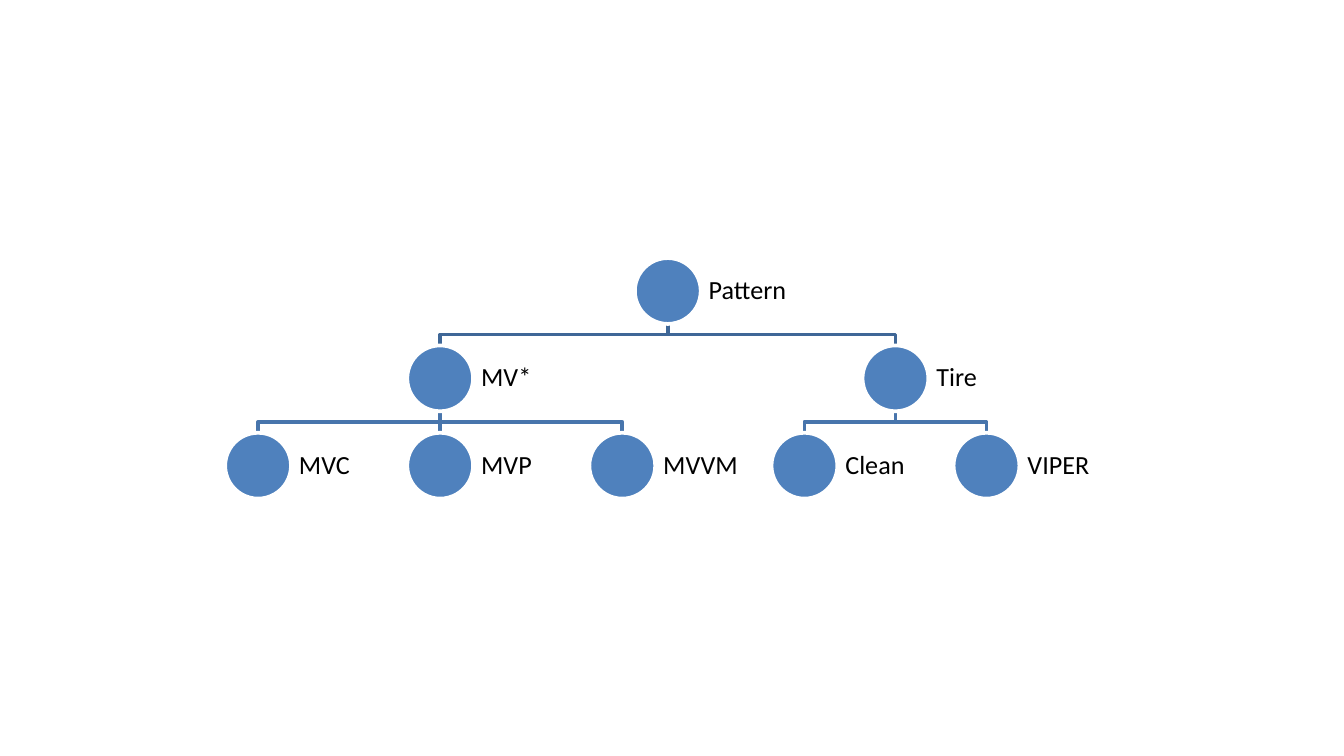
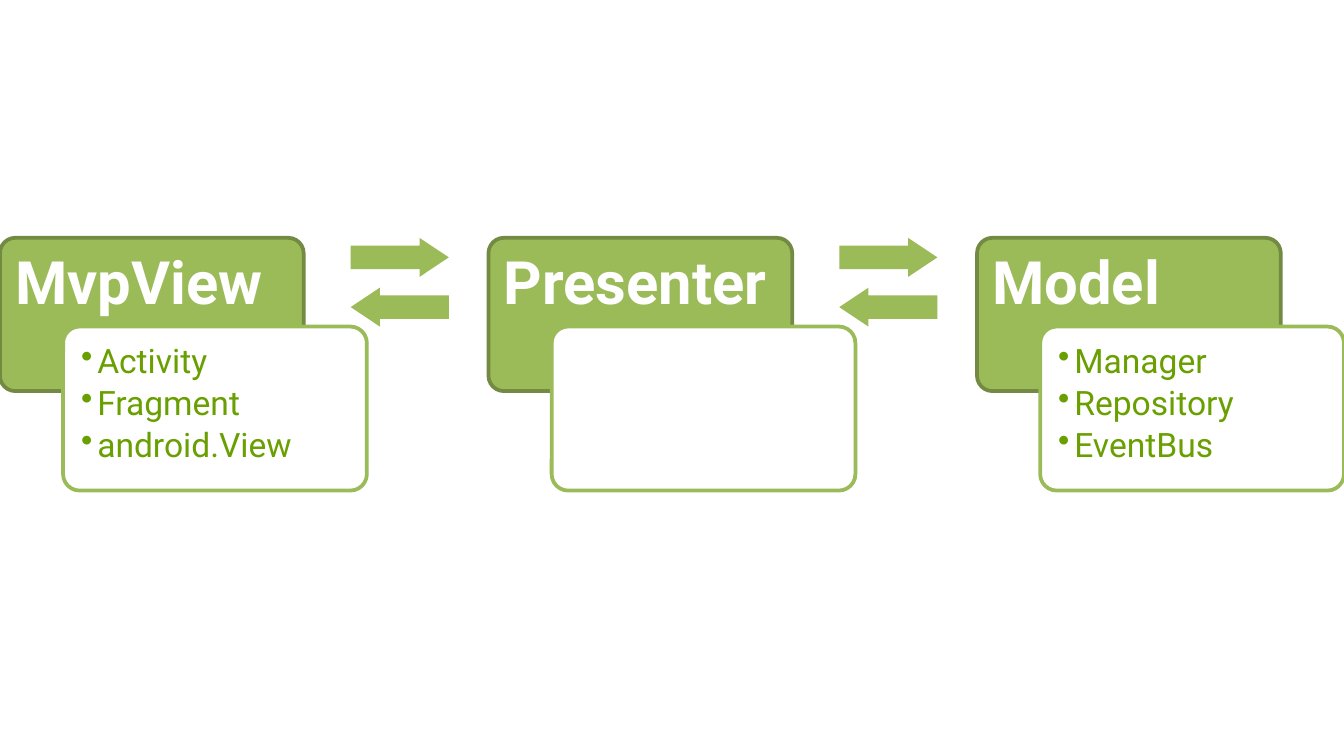
from dataclasses import dataclass, field

from lxml.etree import SubElement
from pptx import Presentation
from pptx.dml.color import RGBColor as RGB
from pptx.enum.shapes import MSO_CONNECTOR as Link, MSO_SHAPE as Form
from pptx.enum.text import MSO_ANCHOR as Anchor, PP_ALIGN as Align
from pptx.oxml.ns import qn
from pptx.util import Inches, Pt

COLUMNS, ROWS = 100, 56.25


@dataclass(frozen=True)
class Theme:
    node: str = "4F81BD"
    root_link: str = "3F6797"
    leaf_link: str = "4875AC"
    paper: str = "FFFFFF"
    ink: str = "000000"
    card: str = "9BBB59"
    card_edge: str = "738A42"
    item: str = "699F00"
    stroke: int = 2
    label_font: dict = field(default_factory=lambda: {"name": "Calibri", "size": Pt(14)})
    title_font: dict = field(default_factory=lambda: {"name": "Roboto", "size": Pt(32), "bold": True})
    item_font: dict = field(default_factory=lambda: {"name": "Roboto", "size": Pt(18)})


@dataclass
class Branch:
    label: str
    children: tuple = ()
    position: float = 0
    level: int = 0


class Deck:
    def __init__(self, theme):
        self.theme = theme
        self.show = Presentation()
        self.show.slide_width, self.show.slide_height = Inches(10), Inches(5.625)
        self.slide = None

    def new_slide(self):
        self.slide = self.show.slides.add_slide(self.show.slide_layouts[6])

    def cells(self, *pairs):
        unit_x, unit_y = self.show.slide_width / COLUMNS, self.show.slide_height / ROWS
        return [round(value * unit) for value, unit in zip(pairs, (unit_x, unit_y) * 2)]

    def stroke(self, outline, colour):
        outline.color.rgb = RGB.from_string(colour)
        outline.width = Pt(self.theme.stroke)

    def shape(self, form, area, fill, edge=None, adjust=()):
        body = self.slide.shapes.add_shape(form, *self.cells(*area))
        body.shadow.inherit = False
        body.fill.solid()
        body.fill.fore_color.rgb = RGB.from_string(fill)
        if edge:
            self.stroke(body.line, edge)
        else:
            body.line.fill.background()
        for index, value in enumerate(adjust):
            body.adjustments[index] = value
        return body

    def fill_text(self, frame, lines, font, colour, inset, anchor=Anchor.TOP, bullets=False):
        settings = {"word_wrap": True, "vertical_anchor": anchor}
        for side in ("left", "top", "right", "bottom"):
            settings[f"margin_{side}"] = self.cells(inset)[0]
        for key, value in settings.items():
            setattr(frame, key, value)
        for index, line in enumerate(lines):
            paragraph = frame.add_paragraph() if index else frame.paragraphs[0]
            spacing = {"alignment": Align.LEFT, "line_spacing": 0.9, "space_after": Pt(3)}
            for key, value in spacing.items():
                setattr(paragraph, key, value)
            run = paragraph.add_run()
            run.text = line
            for key, value in font.items():
                setattr(run.font, key, value)
            run.font.color.rgb = RGB.from_string(colour)
            if bullets:
                self.bullet(paragraph)

    def bullet(self, paragraph):
        properties = paragraph._p.get_or_add_pPr()
        indent = Inches(0.12)
        properties.set("marL", str(indent))
        properties.set("indent", str(-indent))
        SubElement(properties, qn("a:buChar")).set("char", "•")

    def label(self, text, area):
        frame = self.slide.shapes.add_textbox(*self.cells(*area)).text_frame
        self.fill_text(frame, [text], self.theme.label_font, self.theme.ink, 0.6, Anchor.MIDDLE)

    def link(self, start, end, colour):
        (left, top), (right, bottom) = self.cells(*start), self.cells(*end)
        if left == right:
            branch = self.slide.shapes.add_connector(Link.STRAIGHT, left, top, right, bottom)
            self.stroke(branch.line, colour)
            SubElement(branch._element.spPr, qn("a:effectLst"))
        else:
            middle = (top + bottom) // 2
            builder = self.slide.shapes.build_freeform(left, top)
            builder.add_line_segments([(left, middle), (right, middle), (right, bottom)], close=False)
            branch = builder.convert_to_shape()
            branch.shadow.inherit = False
            branch.fill.background()
            self.stroke(branch.line, colour)

    def save(self):
        self.show.save("out.pptx")


PATTERNS = Branch("Pattern", (
    Branch("MV*", (Branch("MVC"), Branch("MVP"), Branch("MVVM"))),
    Branch("Tire", (Branch("Clean"), Branch("VIPER"))),
))
LAYERS = {
    "MvpView": ["Activity", "Fragment", "android.View"],
    "Presenter": [],
    "Model": ["Manager", "Repository", "EventBus"],
}


def arrange(branch, leaves, level=0):
    branch.level = level
    for child in branch.children:
        arrange(child, leaves, level + 1)
    if branch.children:
        branch.position = sum(child.position for child in branch.children) / len(branch.children)
    else:
        branch.position = len(leaves)
        leaves.append(branch)


def walk(branch):
    yield branch
    for child in branch.children:
        yield from walk(child)


def pattern_tree(deck):
    theme = deck.theme
    deck.new_slide()
    leaves = []
    arrange(PATTERNS, leaves)
    first, last, top, level_step, dot = 19.2, 73.4, 19.2, 6.5, 4.9
    leaf_step = (last - first) / (len(leaves) - 1)

    def peak(branch):
        return first + branch.position * leaf_step, top + branch.level * level_step

    for parent in walk(PATTERNS):
        x, y = peak(parent)
        for child in reversed(parent.children):
            deck.link((x, y + dot), peak(child), theme.leaf_link if parent.level else theme.root_link)
    for branch in walk(PATTERNS):
        x, y = peak(branch)
        deck.shape(Form.OVAL, (x - dot / 2, y, dot, dot), theme.node, theme.paper)
        deck.label(branch.label, (x + dot / 2, y, 7.4, dot))


def layer_flow(deck):
    theme = deck.theme
    deck.new_slide()
    width, shift, top = 22.6, 4.7, 17.7
    step = (COLUMNS - width - shift) / (len(LAYERS) - 1)
    for gap in range(len(LAYERS) - 1):
        for form, row in ((Form.RIGHT_ARROW, top), (Form.LEFT_ARROW, 21.4)):
            deck.shape(form, (26.1 + gap * step, row, 7.3, 2.9), theme.card, adjust=(0.6, 0.75))
    for index, (title, items) in enumerate(LAYERS.items()):
        left = index * step
        header = deck.shape(Form.ROUNDED_RECTANGLE, (left, top, width, 11.4),
                            theme.card, theme.card_edge, (0.1,))
        deck.fill_text(header.text_frame, [title], theme.title_font, theme.paper, 0.8)
        details = deck.shape(Form.ROUNDED_RECTANGLE, (left + shift, 24.3, width, 12.2),
                             theme.paper, theme.card, (0.1,))
        deck.fill_text(details.text_frame, items, theme.item_font, theme.item, 1, bullets=True)


def main():
    deck = Deck(Theme())
    pattern_tree(deck)
    layer_flow(deck)
    deck.save()


if __name__ == "__main__":
    main()
